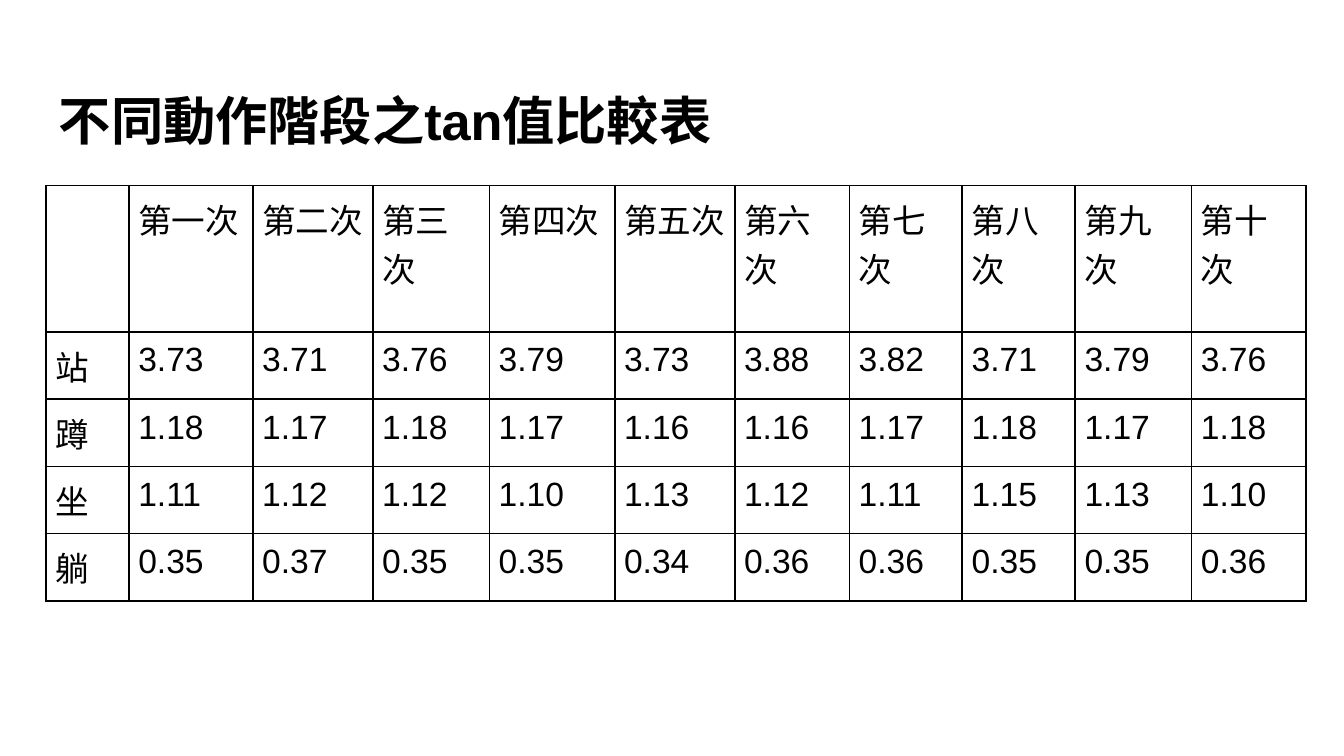
from lxml.etree import SubElement
from pptx import Presentation
from pptx.dml.color import RGBColor
from pptx.enum.text import MSO_ANCHOR
from pptx.oxml.ns import qn
from pptx.util import Pt

FONT = "Arial"
BLACK = "000000"

HEADERS = ["", "第一次", "第二次", "第三次", "第四次", "第五次",
           "第六次", "第七次", "第八次", "第九次", "第十次"]
TAN_VALUES = {
    "站": ["3.73", "3.71", "3.76", "3.79", "3.73", "3.88", "3.82", "3.71", "3.79", "3.76"],
    "蹲": ["1.18", "1.17", "1.18", "1.17", "1.16", "1.16", "1.17", "1.18", "1.17", "1.18"],
    "坐": ["1.11", "1.12", "1.12", "1.10", "1.13", "1.12", "1.11", "1.15", "1.13", "1.10"],
    "躺": ["0.35", "0.37", "0.35", "0.35", "0.34", "0.36", "0.36", "0.35", "0.35", "0.36"],
}
COLUMN_WIDTHS = [44.6, 66.4, 64.3, 62.4, 67.2, 64.3, 61.4, 60.5, 60.5, 62.4, 61.2]
HEADER_HEIGHT, ROW_HEIGHT = 78.5, 36


def color(hex_string):
    return RGBColor.from_string(hex_string)


def style_text(paragraph, size, bold=False):
    font = paragraph.font
    font.name, font.size, font.bold = FONT, Pt(size), bold
    font.color.rgb = color(BLACK)


def add_borders(cell, width=1):
    properties = cell._tc.get_or_add_tcPr()
    for index, side in enumerate(("a:lnL", "a:lnR", "a:lnT", "a:lnB")):
        line = properties.makeelement(qn(side), {"w": str(Pt(width))})
        properties.insert(index, line)
        fill = SubElement(line, qn("a:solidFill"))
        SubElement(fill, qn("a:srgbClr"), val=BLACK)


def add_title(slide, left, top, width, height):
    shape = slide.shapes.add_textbox(Pt(left), Pt(top), Pt(width), Pt(height))
    frame = shape.text_frame
    frame.word_wrap = True
    frame.vertical_anchor = MSO_ANCHOR.TOP
    frame.margin_left = frame.margin_right = Pt(7.2)
    frame.margin_top = frame.margin_bottom = Pt(7.2)
    paragraph = frame.paragraphs[0]
    paragraph.text = "不同動作階段之tan值比較表"
    paragraph.line_spacing = 1.15
    style_text(paragraph, 28, bold=True)


def add_comparison_table(slide, left, top):
    rows = [HEADERS] + [[action, *values] for action, values in TAN_VALUES.items()]
    heights = [HEADER_HEIGHT] + [ROW_HEIGHT] * len(TAN_VALUES)
    table = slide.shapes.add_table(
        len(rows), len(HEADERS), Pt(left), Pt(top),
        Pt(sum(COLUMN_WIDTHS)), Pt(sum(heights))).table
    table.first_row = table.horz_banding = False

    # Grid
    for column, width in zip(table.columns, COLUMN_WIDTHS):
        column.width = Pt(width)
    for row, height in zip(table.rows, heights):
        row.height = Pt(height)

    # Cells
    for row, texts in zip(table.rows, rows):
        for cell, text in zip(row.cells, texts):
            cell.fill.background()
            cell.margin_left = cell.margin_right = Pt(5)
            cell.margin_top = cell.margin_bottom = Pt(5)
            add_borders(cell)
            paragraph = cell.text_frame.paragraphs[0]
            paragraph.text = text
            style_text(paragraph, 18)


def main():
    presentation = Presentation()
    presentation.slide_width, presentation.slide_height = Pt(720), Pt(405)
    slide = presentation.slides.add_slide(presentation.slide_layouts[6])
    add_title(slide, 24.5, 35.3, 671, 45.4)
    add_comparison_table(slide, 24.5, 99.4)
    presentation.save("out.pptx")


if __name__ == "__main__":
    main()
